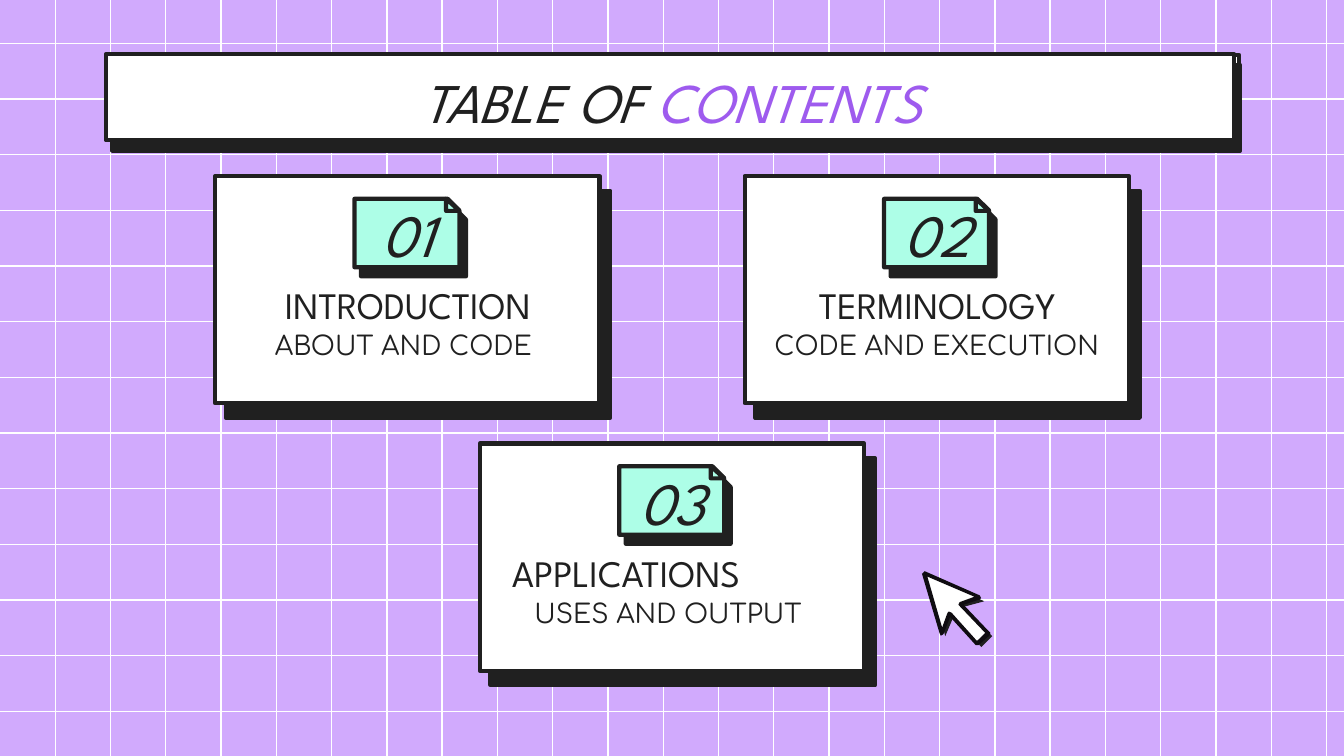
from lxml.etree import SubElement
from pptx import Presentation
from pptx.dml.color import RGBColor
from pptx.enum.shapes import MSO_CONNECTOR, MSO_SHAPE
from pptx.enum.text import MSO_ANCHOR, MSO_AUTO_SIZE, PP_ALIGN
from pptx.oxml.ns import qn
from pptx.util import Pt

LILAC = RGBColor(0xD1, 0xAA, 0xFD)
PURPLE = RGBColor(0x9E, 0x5B, 0xEE)
MINT = RGBColor(0xAD, 0xFE, 0xE7)
INK = RGBColor(0x20, 0x20, 0x20)
CURSOR_INK = RGBColor(0x0F, 0x0C, 0x11)
WHITE = RGBColor(0xFF, 0xFF, 0xFF)
HEADING_FONT, BODY_FONT = "League Spartan", "Comfortaa"

TITLE = [("TABLE OF ", INK), ("CONTENTS", PURPLE)]
SECTIONS = [
    ("01", "INTRODUCTION", "ABOUT AND CODE ", 115.2, 94.3, PP_ALIGN.CENTER),
    ("02", "TERMINOLOGY", "CODE AND EXECUTION", 398.9, 94.3, PP_ALIGN.CENTER),
    ("03", "APPLICATIONS", "USES AND OUTPUT ", 257, 237.6, PP_ALIGN.LEFT),
]
SLIDE_W, SLIDE_H = 720, 405
COLUMN_GAP, COLUMN_COUNT = 29.61, 24
ROW_START, ROW_GAP, ROW_COUNT = 23.2, 29.82, 13
CARD_W, CARD_H = 206, 121.7
INSET = 7.2

CURSOR_BODY = [(4954, 3067), (5040, 3391), (5083, 3290), (5234, 3449),
               (5292, 3391), (5141, 3233), (5249, 3204)]
CURSOR_OUTER = [(4954, 3060), (4939, 3074), (5033, 3391), (5040, 3406), (5054, 3398),
                (5090, 3305), (5227, 3456), (5242, 3456), (5299, 3406), (5306, 3391),
                (5299, 3384), (5162, 3240), (5249, 3211), (5256, 3204), (5249, 3190)]
CURSOR_INNER = [(4968, 3089), (5220, 3197), (5141, 3226), (5134, 3240), (5278, 3391),
                (5234, 3434), (5098, 3283), (5083, 3276), (5076, 3283), (5047, 3362)]

deck = Presentation()
deck.slide_width, deck.slide_height = Pt(SLIDE_W), Pt(SLIDE_H)
slide = deck.slides.add_slide(deck.slide_layouts[5])
slide.background.fill.solid()
slide.background.fill.fore_color.rgb = LILAC


def place(shape, left, top, width, height):
    shape.left, shape.top = Pt(left), Pt(top)
    shape.width, shape.height = Pt(width), Pt(height)


def write(shape, runs, size, font=HEADING_FONT, italic=False,
          align=PP_ALIGN.CENTER, anchor=MSO_ANCHOR.TOP):
    frame = shape.text_frame
    frame.word_wrap = True
    frame.auto_size = MSO_AUTO_SIZE.NONE
    frame.vertical_anchor = anchor
    frame.margin_left = frame.margin_right = Pt(INSET)
    frame.margin_top = frame.margin_bottom = Pt(INSET)
    paragraph = frame.paragraphs[0]
    paragraph.alignment = align
    for text, color in runs:
        run = paragraph.add_run()
        run.text = text
        run.font.name, run.font.size = font, Pt(size)
        run.font.italic = italic
        run.font.color.rgb = color


def add_label(text, left, top, width, height, **style):
    label = slide.shapes.add_textbox(Pt(left), Pt(top), Pt(width), Pt(height))
    write(label, [(text, INK)], **style)


def paint(shape, fill, outline=None, shadow=None):
    shape.fill.solid()
    shape.fill.fore_color.rgb = fill
    if outline is None:
        shape.line.fill.background()
    else:
        shape.line.color.rgb = outline
        shape.line.width = Pt(2.25)
    shape.shadow.inherit = False
    if shadow:
        distance, angle = shadow
        effects = shape.element.spPr.find(qn("a:effectLst"))
        drop = SubElement(effects, qn("a:outerShdw"), dist=str(Pt(distance)),
                          dir=str(angle * 60000), algn="bl", rotWithShape="0")
        SubElement(drop, qn("a:srgbClr"), val=str(INK))


def add_block(kind, left, top, width, height, fill, shadow=None):
    block = slide.shapes.add_shape(kind, Pt(left), Pt(top), Pt(width), Pt(height))
    paint(block, fill, INK, shadow)
    return block


def add_grid_line(x1, y1, x2, y2):
    line = slide.shapes.add_connector(MSO_CONNECTOR.STRAIGHT, Pt(x1), Pt(y1), Pt(x2), Pt(y2))
    line.line.color.rgb = WHITE
    line.line.width = Pt(0.75)
    SubElement(line.element.spPr, qn("a:effectLst"))


def add_outline(contours, fill, shadow=None):
    builder = slide.shapes.build_freeform(*contours[0][0], scale=Pt(0.1))
    builder.add_line_segments(contours[0][1:], close=True)
    for contour in contours[1:]:
        builder.move_to(*contour[0])
        builder.add_line_segments(contour[1:], close=True)
    paint(builder.convert_to_shape(), fill, shadow=shadow)


for row in range(ROW_COUNT):
    y = ROW_START + row * ROW_GAP
    add_grid_line(0, y, SLIDE_W, y)
for column in range(1, COLUMN_COUNT + 1):
    x = column * COLUMN_GAP
    add_grid_line(x, 0, x, SLIDE_H)

add_block(MSO_SHAPE.RECTANGLE, 56.9, 29.5, 607, 45.4, WHITE)
add_block(MSO_SHAPE.RECTANGLE, 56.9, 28.8, 604.1, 46.1, WHITE, (6.8, 60))
title = slide.shapes.title
place(title, 100.8, 28.8, 518.4, 45.4)
write(title, TITLE, size=30, italic=True)
title.element.getparent().append(title.element)

for number, heading, summary, left, top, heading_align in SECTIONS:
    add_block(MSO_SHAPE.RECTANGLE, left, top, CARD_W, CARD_H, WHITE, (9.8, 54))
    badge = add_block(MSO_SHAPE.SNIP_1_RECTANGLE, left + 74.7, top + 12.2, 56.2, 36.7,
                      MINT, (6, 54))
    badge.adjustments[0] = 0.17
    add_block(MSO_SHAPE.RIGHT_TRIANGLE, left + 123.8, top + 12.2, 7.2, 6.5, MINT)
    add_label(number, left + 71.8, top + 13.4, 62.6, 35.3, size=32, italic=True,
              anchor=MSO_ANCHOR.MIDDLE)
    add_label(heading, left + 10.1, top + 49.7, 186.5, 24.5, size=20, align=heading_align)
    add_label(summary, left, top + 75.1, CARD_W, 38.2, size=14, font=BODY_FONT)

add_outline([CURSOR_BODY], WHITE, (3, 36))
add_outline([CURSOR_OUTER, CURSOR_INNER], CURSOR_INK)

deck.save("out.pptx")
